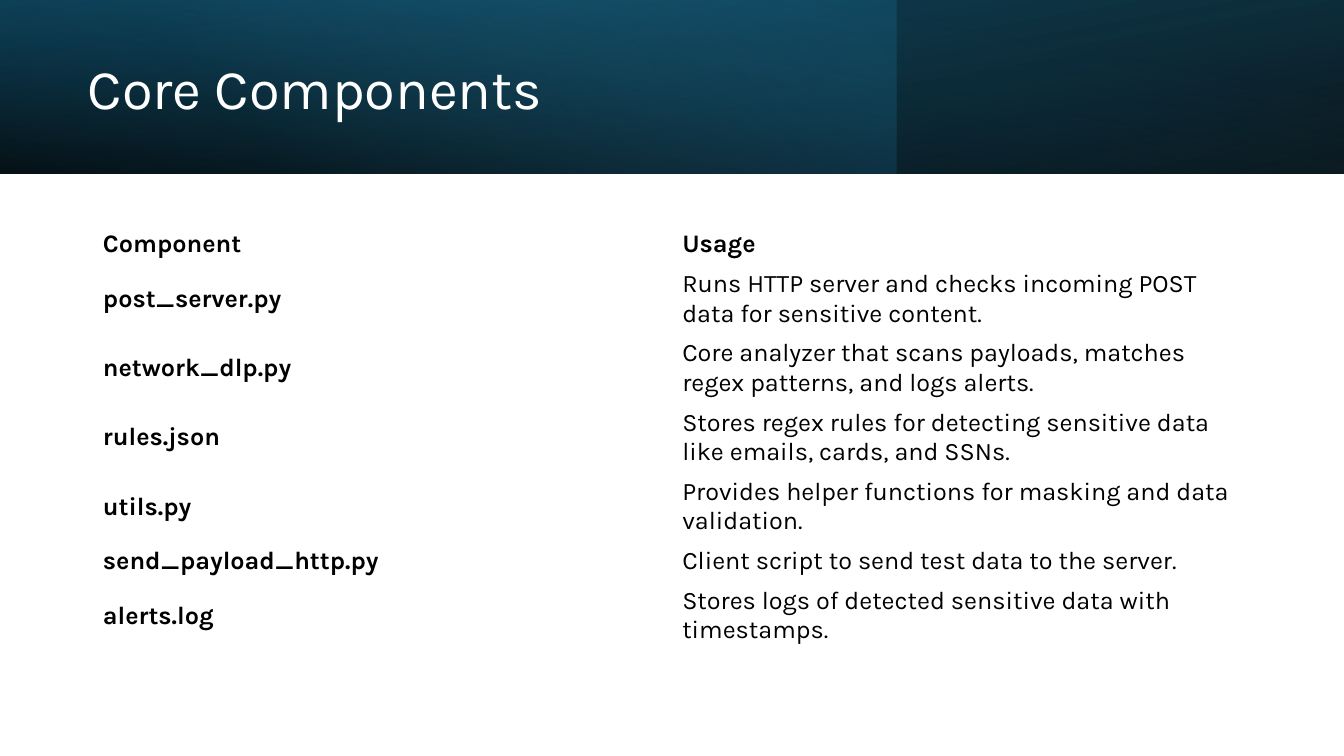
import lxml.etree
import pptx
import pptx.dml.color
import pptx.enum.shapes
import pptx.enum.text
import pptx.oxml.ns
import pptx.util

Cm = pptx.util.Cm
Pt = pptx.util.Pt

TITLE = "Core Components"
ROWS = [
    ("Component", "Usage"),
    ("post_server.py", "Runs HTTP server and checks incoming POST data for sensitive content."),
    ("network_dlp.py", "Core analyzer that scans payloads, matches regex patterns, and logs alerts."),
    ("rules.json", "Stores regex rules for detecting sensitive data like emails, cards, and SSNs."),
    ("utils.py", "Provides helper functions for masking and data validation."),
    ("send_payload_http.py", "Client script to send test data to the server."),
    ("alerts.log", "Stores logs of detected sensitive data with timestamps."),
]


class Theme:
    font = "Karla"
    title_size = Pt(40)
    body_size = Pt(18)
    white = "FFFFFF"
    black = "000000"
    deep_teal = "104862"
    teal = "156082"
    sky = "46B1E1"


PAGE_WIDTH, PAGE_HEIGHT = Cm(33.87), Cm(19.05)
BANNER_HEIGHT = Cm(4.37)
TITLE_BOX = {"left": Cm(1.96), "top": Cm(0.69), "width": Cm(19.6), "height": Cm(3.23)}
TABLE_LEFT, TABLE_TOP, COLUMN_WIDTH = Cm(2.34), Cm(5.66), Cm(14.6)
ONE_LINE, TWO_LINES = Cm(1), Cm(1.74)
LINE_CHARACTERS = 48

# Stops are (position, colour, opacity in percent); angles run clockwise.
BANNER_LAYERS = [
    {"width": PAGE_WIDTH, "rotation": 180, "flip": True, "angle": 100,
     "stops": [(0, Theme.black, 96), (1, Theme.deep_teal, 100)]},
    {"width": Cm(22.58), "rotation": 0, "flip": False, "angle": 140,
     "stops": [(0, Theme.teal, 41), (0.74, Theme.sky, 0)]},
    {"width": PAGE_WIDTH, "rotation": 0, "flip": True, "angle": 260,
     "stops": [(0, Theme.black, 63), (0.78, Theme.teal, 15)]},
]


def rgb(colour):
    return pptx.dml.color.RGBColor.from_string(colour)


def set_all(target, values):
    for name, value in values.items():
        setattr(target, name, value)


def write(frame, text, colour, **font_values):
    frame.text = text
    frame.word_wrap = True
    para = frame.paragraphs[0]
    font = para.runs[0].font
    set_all(font, {"name": Theme.font, **font_values})
    font.color.rgb = rgb(colour)
    return para


def add_banner_layer(page, layer):
    box = page.shapes.add_shape(
        pptx.enum.shapes.MSO_SHAPE.RECTANGLE, 0, 0, layer["width"], BANNER_HEIGHT)
    box.shadow.inherit = False
    box.line.fill.background()
    box.rotation = layer["rotation"]
    if layer["flip"]:
        box._element.spPr.xfrm.set("flipH", "1")
    box.fill.gradient()
    box.fill.gradient_angle = 360 - layer["angle"]
    for stop, (position, colour, _) in zip(box.fill.gradient_stops, layer["stops"]):
        stop.position = position
        stop.color.rgb = rgb(colour)
    colours = box._element.spPr.iter(pptx.oxml.ns.qn("a:srgbClr"))
    for colour, (_, _, opacity) in zip(colours, layer["stops"]):
        lxml.etree.SubElement(
            colour, pptx.oxml.ns.qn("a:alpha"), val=str(opacity * 1000))


def add_title(page):
    title = page.shapes.title
    set_all(title, TITLE_BOX)
    title.text_frame.vertical_anchor = pptx.enum.text.MSO_ANCHOR.MIDDLE
    para = write(title.text_frame, TITLE, Theme.white, size=Theme.title_size)
    set_all(para, {"alignment": pptx.enum.text.PP_ALIGN.LEFT, "line_spacing": 0.9})
    page.shapes._spTree.append(title._element)  # in front of the banner


def add_component_table(page):
    heights = [TWO_LINES if len(usage) > LINE_CHARACTERS else ONE_LINE
               for _, usage in ROWS]
    table = page.shapes.add_table(
        len(ROWS), 2, TABLE_LEFT, TABLE_TOP, 2 * COLUMN_WIDTH, sum(heights)).table
    set_all(table, {"first_row": False, "horz_banding": False})
    for column in table.columns:
        column.width = COLUMN_WIDTH
    for row_index, (texts, height) in enumerate(zip(ROWS, heights)):
        table.rows[row_index].height = height
        for column_index, text in enumerate(texts):
            cell = table.cell(row_index, column_index)
            cell.fill.background()
            cell.vertical_anchor = pptx.enum.text.MSO_ANCHOR.MIDDLE
            write(cell.text_frame, text, Theme.black, size=Theme.body_size,
                  bold=row_index == 0 or column_index == 0)


def main():
    deck = pptx.Presentation()
    set_all(deck, {"slide_width": PAGE_WIDTH, "slide_height": PAGE_HEIGHT})
    page = deck.slides.add_slide(deck.slide_layouts.get_by_name("Title Only"))
    for layer in BANNER_LAYERS:
        add_banner_layer(page, layer)
    add_title(page)
    add_component_table(page)
    deck.save("out.pptx")


if __name__ == "__main__":
    main()
